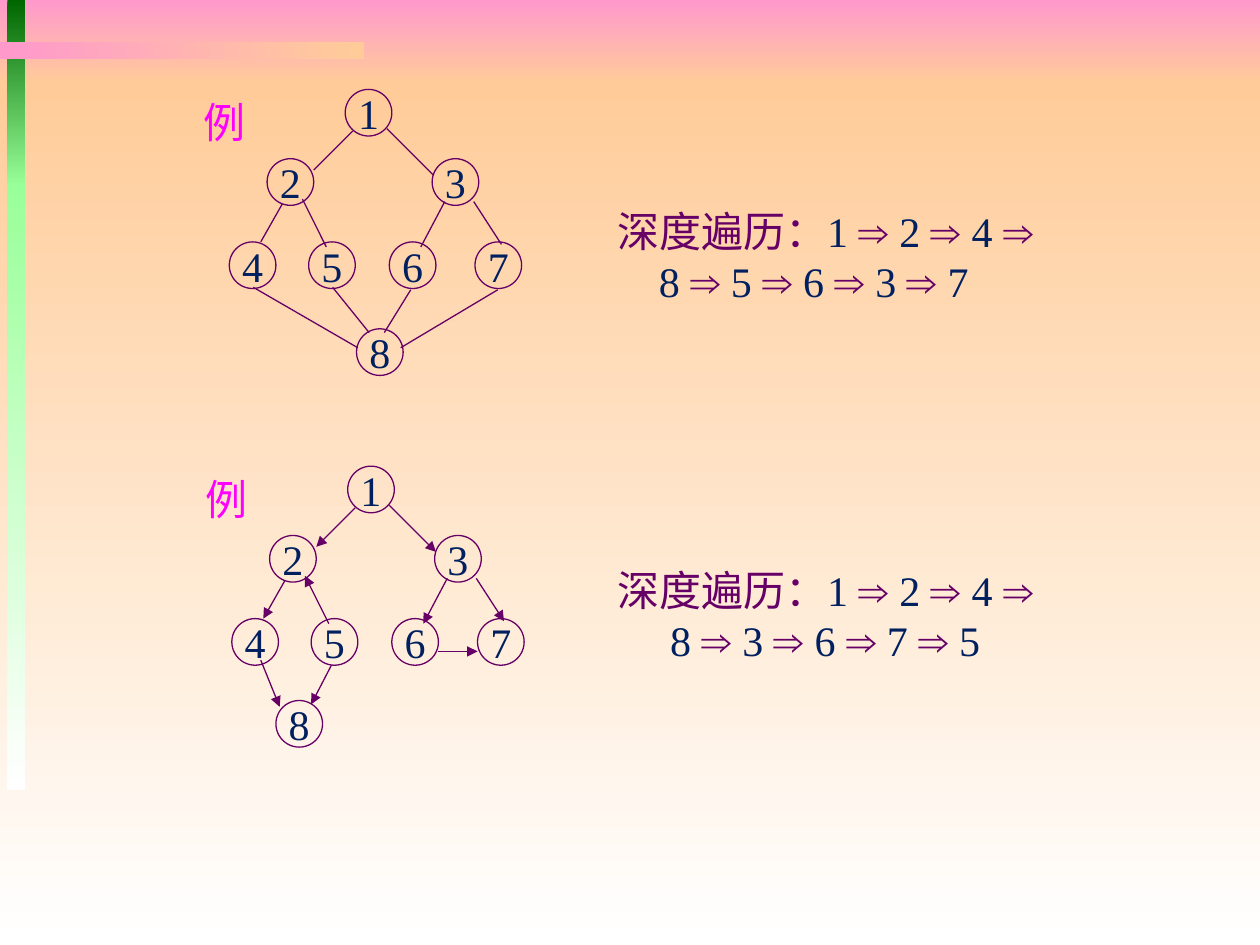
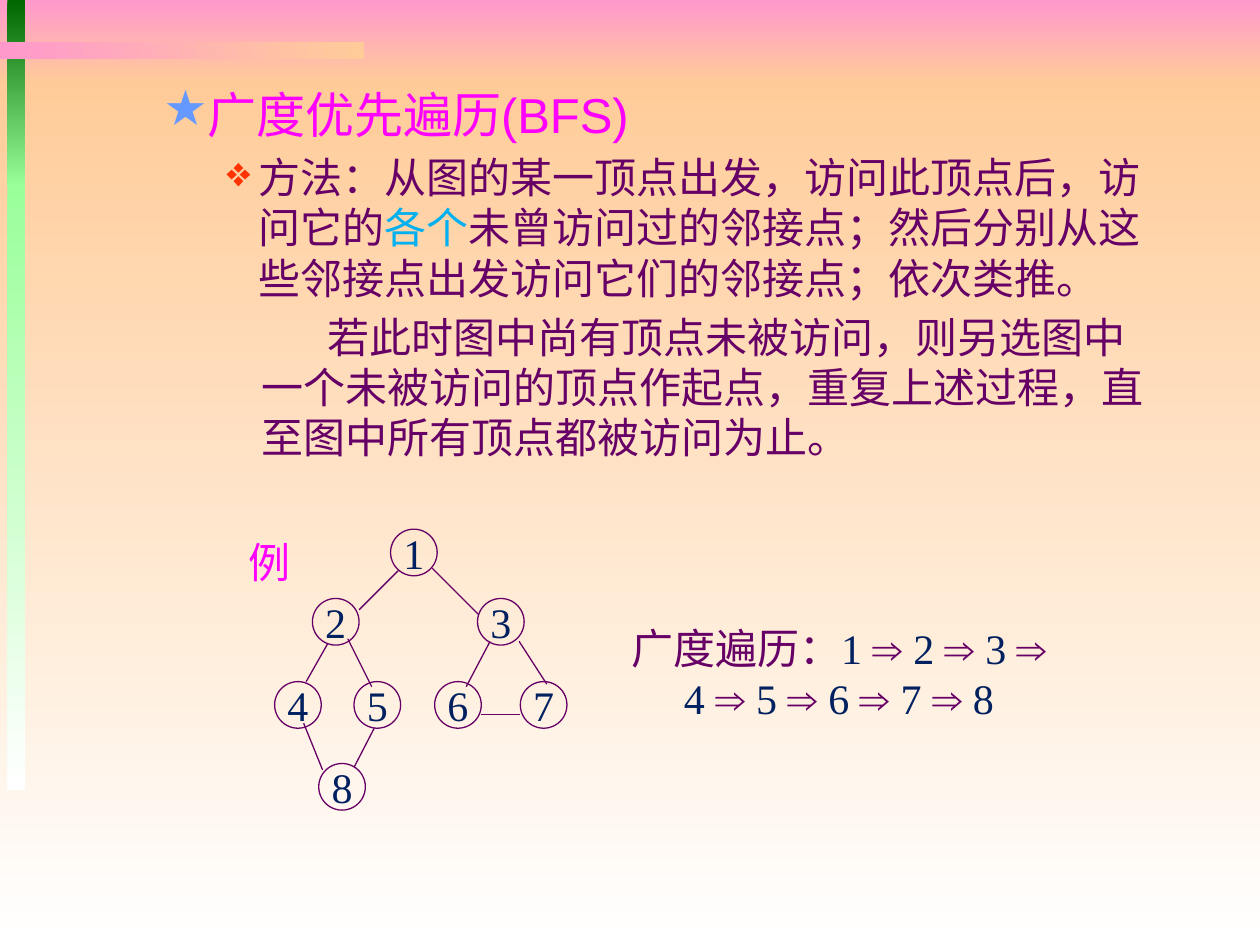
from lxml.etree import SubElement
from pptx import Presentation
from pptx.dml.color import RGBColor
from pptx.enum.shapes import MSO_CONNECTOR, MSO_SHAPE
from pptx.enum.text import MSO_ANCHOR, PP_ALIGN
from pptx.oxml.ns import qn
from pptx.util import Pt

PX = 9144  # EMU per px, 100 px to the inch
SERIF, SANS = "Times New Roman", "Arial"
PLUM, NAVY, PINK, CYAN = "660066", "002060", "FF00FF", "00B0F0"
ROSE, PEACH, WHITE = "FF99CC", "FFCC99", "FFFFFF"
GREEN, MINT = "006600", "99FF99"
DISC = 37

# Places are relative to the top left of node 1.
NODES = {"1": (0, 0), "2": (-62, 55), "3": (69, 55), "4": (-92, 121),
         "5": (-29, 121), "6": (35, 121), "7": (103, 121)}
TREE = {"12": (6, 33, -25, 64), "13": (33, 31, 70, 68),
        "24": (-50, 91, -67, 121), "25": (-34, 87, -15, 125),
        "36": (79, 89, 60, 125), "37": (102, 89, 124, 123)}
FAN = {"48": (-73, 157, 10, 205), "58": (-10, 157, 19, 193),
       "68": (52, 159, 31, 193), "78": (121, 159, 44, 205)}
LOOP = {"48": (-69, 154, -54, 191), "58": (-13, 158, -29, 189),
        "67": (72, 147, 103, 147)}
FAN_END, LOOP_END = (9, 190), (-57, 186)


def px(*nums):
    return [n * PX for n in nums]


def rgb(code):
    return RGBColor.from_string(code)


def style(run, size, face, color):
    run.font.size = Pt(size)
    run.font.name = face
    run.font.color.rgb = rgb(color)


def band(slide, box, start, end, angle=270):
    """Add a borderless rectangle that fades from start to end."""
    rect = slide.shapes.add_shape(MSO_SHAPE.RECTANGLE, *px(*box))
    rect.shadow.inherit = False
    rect.line.fill.background()
    rect.fill.gradient()
    rect.fill.gradient_angle = angle
    for stop, color in zip(rect.fill.gradient_stops, (start, end)):
        stop.color.rgb = rgb(color)


def backdrop(slide):
    band(slide, (0, 0, 1000, 67), ROSE, PEACH)
    band(slide, (0, 67, 1000, 683), PEACH, WHITE)
    band(slide, (6, 0, 14, 148), GREEN, MINT)
    band(slide, (6, 146, 14, 481), MINT, WHITE)
    band(slide, (0, 33, 289, 14), ROSE, PEACH, 0)


def center(shape, text, color):
    frame = shape.text_frame
    frame.word_wrap = False
    frame.vertical_anchor = MSO_ANCHOR.MIDDLE
    para = frame.paragraphs[0]
    para.text = text
    para.alignment = PP_ALIGN.CENTER
    style(para.runs[0], 24, SERIF, color)


def node(slide, x, y, name):
    disc = slide.shapes.add_shape(MSO_SHAPE.OVAL, *px(x, y, DISC, DISC))
    disc.shadow.inherit = False
    disc.fill.background()
    disc.line.color.rgb = rgb(PLUM)
    disc.line.width = Pt(0.75)
    center(disc, name, NAVY)


def edge(slide, ends, tip=None):
    """Add a line; tip is None, "headEnd" or "tailEnd"."""
    line = slide.shapes.add_connector(MSO_CONNECTOR.STRAIGHT, *px(*ends))
    line.line.color.rgb = rgb(PLUM)
    line.line.width = Pt(0.75)
    props = line._element.spPr
    if tip:
        SubElement(props.find(qn("a:ln")), qn("a:" + tip), type="triangle")
    SubElement(props, qn("a:effectLst"))


def graph(slide, left, top, last, links, arrows=False, back=()):
    """Draw nodes 1 to 8 and their links; those in back point upwards."""
    for name, (x, y) in {**NODES, "8": last}.items():
        node(slide, left + x, top + y, name)
    for pair, (x1, y1, x2, y2) in {**TREE, **links}.items():
        tip = ("headEnd" if pair in back else "tailEnd") if arrows else None
        edge(slide, (left + x1, top + y1, left + x2, top + y2), tip)
    label = slide.shapes.add_textbox(*px(left - 123, top, 54, 51))
    center(label, "例", PINK)


def fill(para, parts, size, face):
    """Put (text, color) parts into a paragraph."""
    for text, color in parts:
        run = para.add_run()
        run.text = text
        style(run, size, face, color)


def textbox(slide, box):
    frame = slide.shapes.add_textbox(*px(*box)).text_frame
    frame.word_wrap = True
    return frame


def indent(para, left, first=0):
    props = para._p.get_or_add_pPr()
    props.set("marL", str(left * PX))
    props.set("indent", str(first * PX))
    return props


def route(slide, left, top, title, order, inset):
    """Write a visiting order, three nodes on line one and five on line two."""
    frame = textbox(slide, (left, top, 389, 91))
    steps = []
    for name in order:
        steps += [(name, NAVY), (" ⇒ ", PLUM)]
    fill(frame.paragraphs[0], [(title, PLUM)] + steps[:6], 24, SERIF)
    para = frame.add_paragraph()
    indent(para, inset)
    fill(para, steps[6:-1], 24, SERIF)


def item(para, parts, size, left, first, mark=None, color=None):
    para.space_before = Pt(size * 0.2)
    props = indent(para, left, first)
    if mark:
        SubElement(SubElement(props, qn("a:buClr")), qn("a:srgbClr"), val=color)
        SubElement(props, qn("a:buChar"), char=mark)
    fill(para, parts, size, SANS)


def method(slide):
    frame = textbox(slide, (70, 62, 855, 304))
    item(frame.paragraphs[0], [("广度优先遍历(BFS)", PINK)],
         28, 81, -31, "★", "6699FF")
    item(frame.add_paragraph(), [
        ("方法：从图的某一顶点出发，访问此顶点后，访问它的", PLUM),
        ("各个", CYAN),
        ("未曾访问过的邻接点；然后分别从这些邻接点出发访问它们的邻接点；"
         "依次类推。", PLUM)], 24, 125, -25, "❖", "FF3300")
    item(frame.add_paragraph(), [
        ("若此时图中尚有顶点未被访问，则另选图中一个未被访问的顶点作起点，"
         "重复上述过程，直至图中所有顶点都被访问为止。", PLUM)], 24, 128, 52)


def main():
    deck = Presentation()
    deck.slide_width, deck.slide_height = px(1000, 750)
    blank = deck.slide_layouts[6]

    depth = deck.slides.add_slide(blank)
    backdrop(depth)
    graph(depth, 274, 71, FAN_END, FAN)
    route(depth, 480, 158, "深度遍历：", "12485637", 33)
    graph(depth, 276, 370, LOOP_END, LOOP, arrows=True, back=("25",))
    route(depth, 480, 443, "深度遍历：", "12483675", 42)

    breadth = deck.slides.add_slide(blank)
    backdrop(breadth)
    method(breadth)
    graph(breadth, 310, 420, LOOP_END, LOOP)
    route(breadth, 491, 489, "广度遍历：", "12345678", 42)

    deck.save("out.pptx")


if __name__ == "__main__":
    main()
